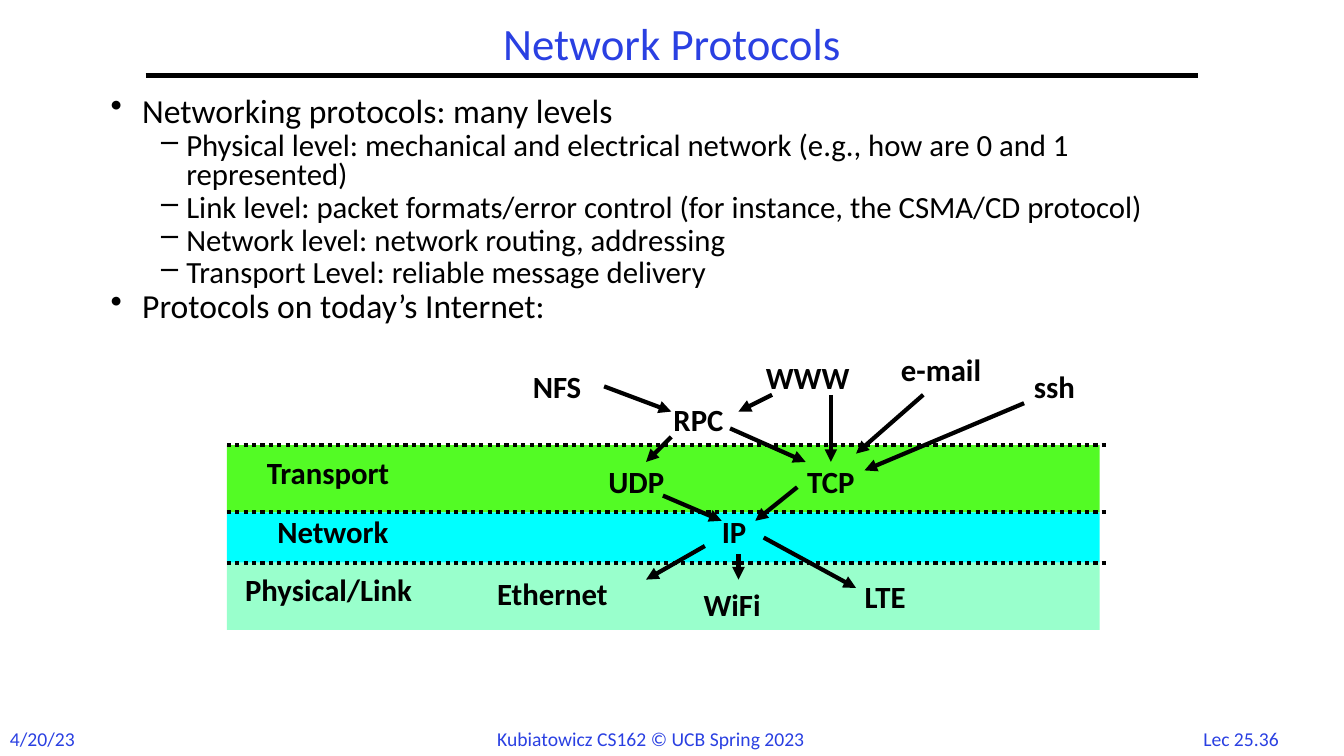
"""Build the Network Protocols slide."""
from lxml import etree
from pptx import Presentation
from pptx.dml.color import RGBColor
from pptx.enum import dml, shapes, text
from pptx.oxml import ns
from pptx.util import Pt

FONT, BLUE, BLACK = "Calibri", "2A40E2", "000000"
TITLE = "Network Protocols"
POINTS = [
    (0, "Networking protocols: many levels"),
    (1, "Physical level: mechanical and electrical network "
        "(e.g., how are 0 and 1 represented)"),
    (1, "Link level: packet formats/error control "
        "(for instance, the CSMA/CD protocol)"),
    (1, "Network level: network routing, addressing"),
    (1, "Transport Level: reliable message delivery"),
    (0, "Protocols on today’s Internet:"),
]
# Level: size, text indent, hanging indent, bullet
LEVELS = [(24, 22.5, 22.5, "•"), (22, 54, 18, "–")]
FOOTER = [
    ("4/20/23", 0, 64, "LEFT"),
    ("Kubiatowicz CS162 © UCB Spring 2023", 348, 265, "LEFT"),
    ("Lec 25.36", 847.5, 78, "CENTER"),
]
BANDS = [("53FB25", 48), ("00FFFF", 36), ("99FFCC", 48)]
LABELS = [
    ("Transport", 183.5, 326, 117),
    ("Network", 191, 368, 102),
    ("Physical/Link", 168, 409.5, 157),
    ("NFS", 373.5, 264, 59),
    ("WWW", 540, 258, 77),
    ("e-mail", 636.5, 252, 78),
    ("ssh", 731.5, 264, 53),
    ("RPC", 474, 288, 61),
    ("UDP", 427.5, 332, 61),
    ("TCP", 569.5, 332, 59),
    ("IP", 508.5, 368, 36),
    ("Ethernet", 348, 412, 104),
    ("WiFi", 495.5, 420, 61),
    ("LTE", 610.5, 414, 55),
]
ARROWS = [
    (431.5, 276, 479.5, 294),
    (551.5, 282, 527.5, 294),
    (593.5, 282, 593.5, 330),
    (659.5, 282, 611.5, 324),
    (731.5, 288, 617.5, 336),
    (479.5, 312, 461.5, 330),
    (521.5, 306, 575.5, 330),
    (473.5, 354, 515.5, 372),
    (569.5, 348, 539.5, 372),
    (503.5, 390, 461.5, 414),
    (527.5, 396, 527.5, 414),
    (545.5, 384, 611.5, 420),
]

deck = Presentation()
deck.slide_width, deck.slide_height = Pt(960), Pt(540)
slide = deck.slides.add_slide(deck.slide_layouts[5])


def color(hue):
    return RGBColor.from_string(hue)


def write(para, words, size=22, hue=BLACK, bold=False, align="LEFT",
          line=1, before=0):
    para.alignment = text.PP_ALIGN[align]
    para.line_spacing = line
    para.space_before = Pt(before)
    run = para.add_run()
    run.text = words
    font = run.font
    font.name, font.size, font.bold = FONT, Pt(size), bold
    font.color.rgb = color(hue)


def box(x, y, wide, high):
    frame = slide.shapes.add_textbox(Pt(x), Pt(y), Pt(wide), Pt(high)).text_frame
    frame.word_wrap = True
    return frame


def line(x1, y1, x2, y2, dots=False, head=False):
    link = slide.shapes.add_connector(
        shapes.MSO_CONNECTOR.STRAIGHT, Pt(x1), Pt(y1), Pt(x2), Pt(y2))
    link.line.width = Pt(3)
    link.line.color.rgb = color(BLACK)
    if dots:
        link.line.dash_style = dml.MSO_LINE.ROUND_DOT
    if head:
        etree.SubElement(link.line._get_or_add_ln(), ns.qn("a:tailEnd"),
                         type="triangle")
    etree.SubElement(link._element.spPr, ns.qn("a:effectLst"))


def bullet(para, left, hang, mark):
    props = para._p.get_or_add_pPr()
    props.set("marL", str(Pt(left)))
    props.set("indent", str(-Pt(hang)))
    etree.SubElement(props, ns.qn("a:buChar"), char=mark)


def heading():
    title = slide.shapes.title
    title.left, title.top = Pt(104), Pt(12)
    title.width, title.height = Pt(752), Pt(42)
    frame = title.text_frame
    frame.auto_size = text.MSO_AUTO_SIZE.NONE
    frame.vertical_anchor = text.MSO_ANCHOR.MIDDLE
    write(frame.paragraphs[0], TITLE, size=32, hue=BLUE, align="CENTER", line=0.9)
    line(104, 54, 856, 54)


def body():
    frame = box(72, 66, 816, 420)
    for i, (level, words) in enumerate(POINTS):
        para = frame.add_paragraph() if i else frame.paragraphs[0]
        size, left, hang, mark = LEVELS[level]
        para.level = level
        write(para, words, size=size, line=0.8, before=size / 10)
        bullet(para, left, hang, mark)


def diagram():
    top, edges = 318, []
    for hue, high in BANDS:
        band = slide.shapes.add_shape(
            shapes.MSO_SHAPE.RECTANGLE, Pt(162), Pt(top), Pt(623.5), Pt(high))
        band.shadow.inherit = False
        band.fill.solid()
        band.fill.fore_color.rgb = color(hue)
        band.line.fill.background()
        edges.append(top)
        top += high
    for edge in edges:
        line(162, edge, 792, edge, dots=True)
    for words, x, y, wide in LABELS:
        write(box(x, y, wide, 28).paragraphs[0], words, bold=True,
              line=0.8, before=4.4)
    for ends in ARROWS:
        line(*ends, head=True)


def footer():
    for words, x, wide, align in FOOTER:
        write(box(x, 515.5, wide, 24).paragraphs[0], words, size=14, hue=BLUE,
              align=align)


if __name__ == "__main__":
    heading()
    body()
    diagram()
    footer()
    deck.save("out.pptx")
